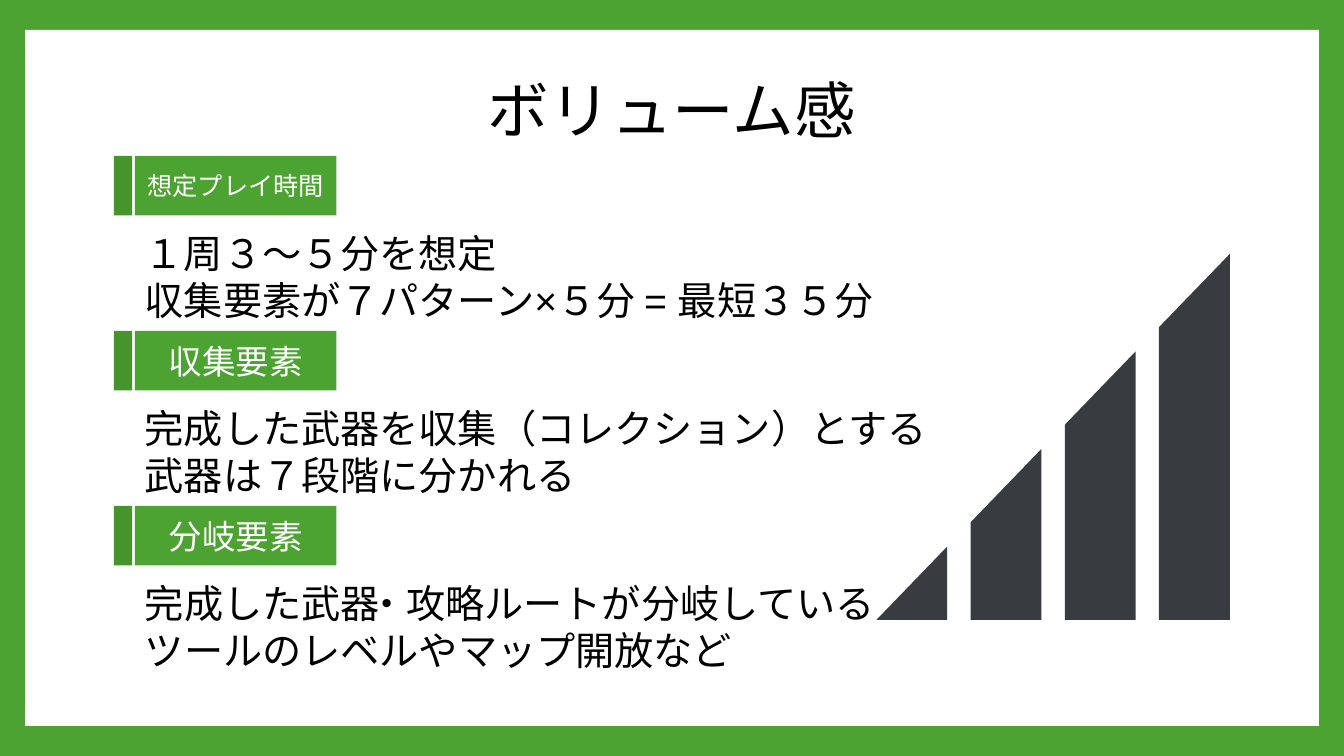
from pptx import Presentation
from pptx import util as u
from pptx.dml.color import RGBColor
from pptx.enum import shapes, text

GREEN = RGBColor(0x4C, 0xA3, 0x31)
DARK = RGBColor(0x45, 0x94, 0x2C)
WHITE = RGBColor(0xFF, 0xFF, 0xFF)
BLACK = RGBColor(0x00, 0x00, 0x00)
SLATE = RGBColor(0x38, 0x3B, 0x3F)

# Label, label size, body lines, body width
PARTS = [
    ("想定プレイ時間", 18,
     "１周３～５分を想定\n収集要素が７パターン×５分 = 最短３５分", 582),
    ("収集要素", 24,
     "完成した武器を収集（コレクション）とする\n武器は７段階に分かれる", 582),
    ("分岐要素", 24,
     "完成した武器・攻略ルートが分岐している\nツールのレベルやマップ開放など", 644),
]
TIGHT = "器・"  # pair set closer, so that the line clears the bars


def write(frame, words, size=28, font="Arial", color=BLACK, align=None,
          anchor=text.MSO_ANCHOR.TOP, spacing=None):
    frame.word_wrap = True
    frame.vertical_anchor = anchor
    for i, line in enumerate(words.split("\n")):
        par = frame.add_paragraph() if i else frame.paragraphs[0]
        par.alignment = align
        par.line_spacing = spacing
        for piece in filter(None, line.partition(TIGHT)):
            run = par.add_run()
            run.text = piece
            run.font.size = u.Pt(size)
            run.font.name = font
            run.font.color.rgb = color
            if piece == TIGHT:
                run.font._element.set("spc", "-900")


class Page:
    center = {"align": text.PP_ALIGN.CENTER, "anchor": text.MSO_ANCHOR.MIDDLE}

    def __init__(self, deck):
        self.slide = deck.slides.add_slide(deck.slide_layouts[6])
        self.items = self.slide.shapes
        fill = self.slide.background.fill
        fill.solid()
        fill.fore_color.rgb = GREEN

    def paint(self, shape, color):
        shape.fill.solid()
        shape.fill.fore_color.rgb = color
        shape.line.fill.background()
        shape.shadow.inherit = False
        return shape

    def rect(self, left, top, width, height, color):
        box = map(u.Pt, (left, top, width, height))
        kind = shapes.MSO_SHAPE.RECTANGLE
        return self.paint(self.items.add_shape(kind, *box), color)

    def label(self, left, top, words, size):
        self.rect(left, top, 13, 42.5, DARK)
        tag = self.rect(left + 15, top, 144, 42.5, GREEN)
        write(tag.text_frame, words, size, color=WHITE, **self.center)

    def note(self, left, top, width, height, words, **style):
        box = self.items.add_textbox(*map(u.Pt, (left, top, width, height)))
        write(box.text_frame, words, **style)

    def bars(self, left, base, count, width, step, slope, rise):
        pen = None
        for i in range(count):
            x = left + i * step
            low = base - i * rise
            dots = [(x + width, low - slope), (x + width, base),
                    (x, base), (x, low)]
            dots = [(u.Pt(a), u.Pt(b)) for a, b in dots]
            if pen is None:
                pen = self.items.build_freeform(*dots[0])
            else:
                pen.move_to(*dots[0])
            pen.add_line_segments(dots[1:], close=True)
        self.paint(pen.convert_to_shape(), SLATE)


def main():
    deck = Presentation()
    deck.slide_width, deck.slide_height = u.Pt(960), u.Pt(540)
    page = Page(deck)

    # White panel and title
    page.rect(18, 21.3, 924, 497.3, WHITE)
    page.note(66, 29, 828, 104.4, "ボリューム感", size=44,
              font="Montserrat", spacing=0.9, **page.center)

    # Labelled sections
    for i, (name, size, body, width) in enumerate(PARTS):
        top = 111.4 + 125 * i
        page.label(81.4, top, name, size)
        page.note(96.4, top + 48.6, width, 75, body)

    # Rising bars
    page.bars(626, 442.8, 4, 50.6, 67.3, 52.4, 69.7)

    deck.save("out.pptx")


if __name__ == "__main__":
    main()
